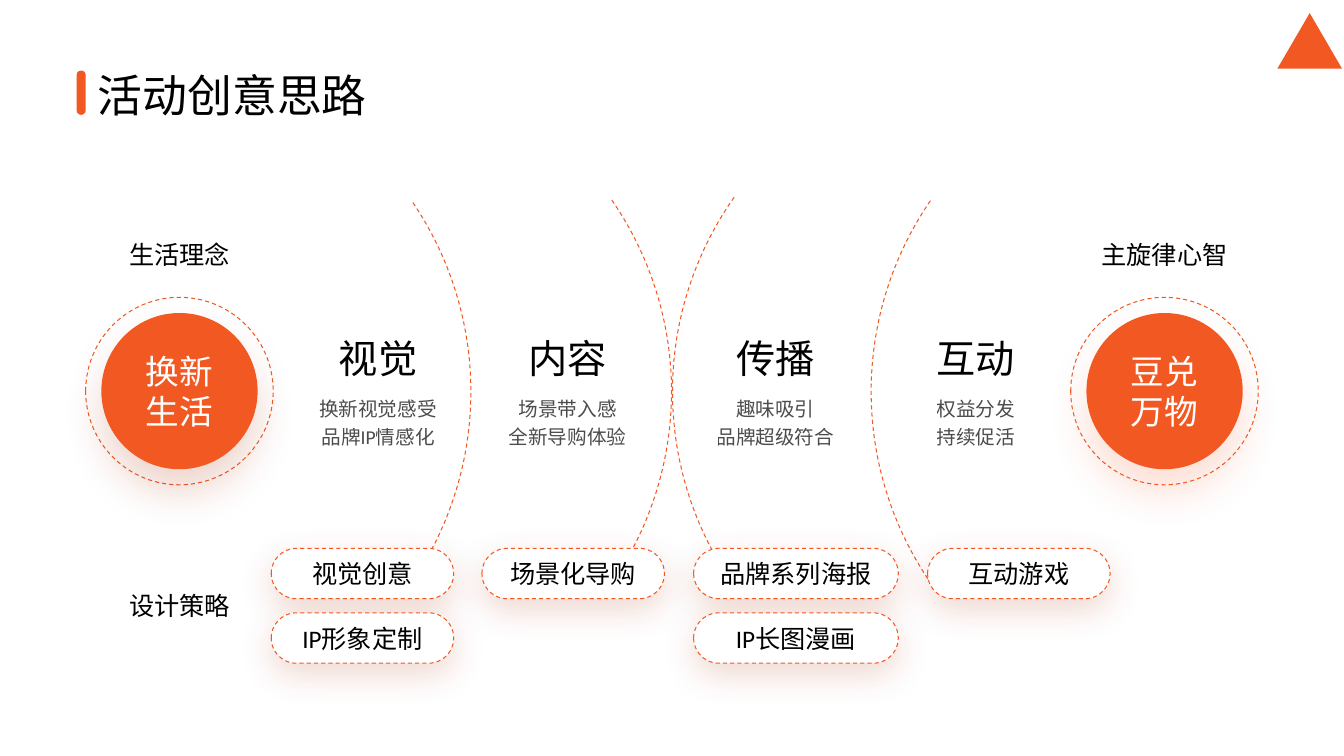
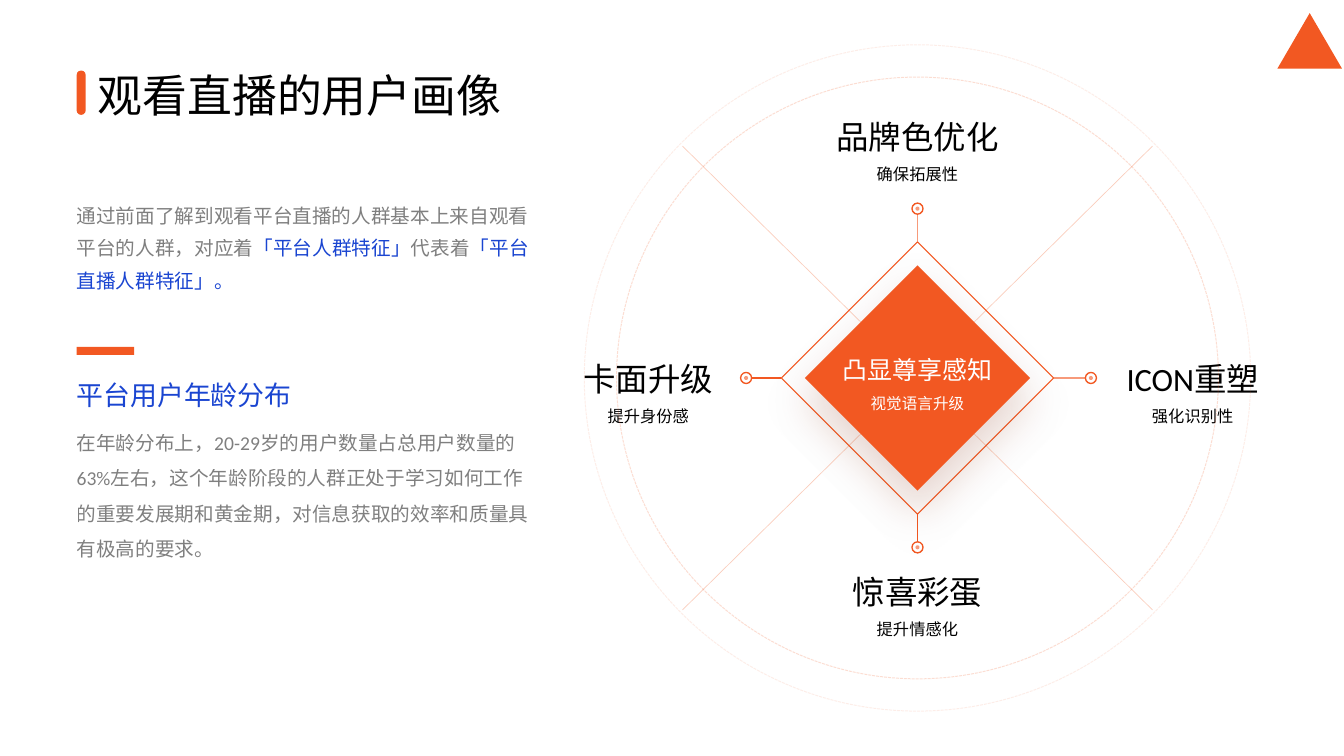
from dataclasses import dataclass

from lxml import etree
from pptx import Presentation
from pptx.dml.color import RGBColor
from pptx.enum.dml import MSO_LINE
from pptx.enum.shapes import MSO_CONNECTOR, MSO_SHAPE
from pptx.enum.text import MSO_ANCHOR, PP_ALIGN
from pptx.oxml.ns import qn
from pptx.util import Inches, Pt

ARC, DIAMOND_BASE, ELLIPSE = MSO_SHAPE.ARC, MSO_SHAPE.RECTANGLE, MSO_SHAPE.OVAL
BAR, PILL, TRIANGLE = MSO_SHAPE.RECTANGLE, MSO_SHAPE.ROUNDED_RECTANGLE, MSO_SHAPE.ISOSCELES_TRIANGLE
DASH, FINE_DASH = MSO_LINE.DASH, MSO_LINE.SQUARE_DOT
CENTER, LEFT = PP_ALIGN.CENTER, PP_ALIGN.LEFT
TOP, MIDDLE = MSO_ANCHOR.TOP, MSO_ANCHOR.MIDDLE
STRAIGHT = MSO_CONNECTOR.STRAIGHT
TITLE_ONLY = 5


@dataclass(frozen=True)
class Theme:
    font: str = "Calibri"
    accent: RGBColor = RGBColor(0xF2, 0x58, 0x22)
    accent_light: RGBColor = RGBColor(0xF7, 0x9A, 0x7A)
    blue: RGBColor = RGBColor(0x1A, 0x45, 0xD1)
    black: RGBColor = RGBColor(0, 0, 0)
    white: RGBColor = RGBColor(0xFF, 0xFF, 0xFF)
    shadow: str = "AE340A"
    shadow_light: str = "F3602D"
    shadow_deep: str = "822808"
    title: float = 32
    column: float = 28
    circle: float = 24
    feature: float = 23.2
    subheading: float = 19.2
    label: float = 18
    core: float = 17.8
    body: float = 14
    caption: float = 11.6
    core_caption: float = 11.1


THEME = Theme()


def add_alpha(element, percent):
    """Make every colour inside the element partly transparent."""
    for color in element.iter(qn("a:srgbClr")):
        etree.SubElement(color, qn("a:alpha"), val=str(percent * 1000))


def add_shadow(shape, color, alpha, blur, distance):
    """Cast a soft shadow straight down; blur and distance are in points."""
    effects = shape._element.spPr.find(qn("a:effectLst"))
    outer = etree.SubElement(
        effects, qn("a:outerShdw"), blurRad=str(Pt(blur)), dist=str(Pt(distance)),
        dir="5400000", algn="t", rotWithShape="0")
    add_alpha_color = etree.SubElement(outer, qn("a:srgbClr"), val=color)
    add_alpha(add_alpha_color, alpha)


def add_shape(slide, kind, left, top, width, height, fill=None, line=None,
              weight=0.75, dash=None, alpha=None):
    shape = slide.shapes.add_shape(
        kind, Inches(left), Inches(top), Inches(width), Inches(height))
    shape.shadow.inherit = False
    if fill is None:
        shape.fill.background()
    else:
        shape.fill.solid()
        shape.fill.fore_color.rgb = fill
    if line is None:
        shape.line.fill.background()
    else:
        shape.line.color.rgb = line
        shape.line.width = Pt(weight)
        if dash is not None:
            shape.line.dash_style = dash
    if alpha is not None:
        add_alpha(shape._element.spPr, alpha)
    return shape


def add_centered(slide, kind, center, size, **style):
    """Add a shape of equal width and height around a point."""
    return add_shape(slide, kind, center[0] - size / 2, center[1] - size / 2,
                     size, size, **style)


def add_line(slide, start, end, color, weight, alpha=None):
    line = slide.shapes.add_connector(STRAIGHT, *map(Inches, (*start, *end)))
    line.line.color.rgb = color
    line.line.width = Pt(weight)
    properties = line._element.spPr
    etree.SubElement(properties, qn("a:effectLst"))
    if alpha is not None:
        add_alpha(properties, alpha)


def format_paragraph(paragraph, size, color, align=LEFT, spacing=None, alpha=None):
    paragraph.alignment = align
    if spacing is not None:
        paragraph.line_spacing = spacing
    paragraph.font.name = THEME.font
    paragraph.font.size = Pt(size)
    paragraph.font.color.rgb = color
    if alpha is not None:
        add_alpha(paragraph._p.pPr, alpha)


def write(shape, lines, size, color=THEME.black, anchor=TOP, margins=(0, 0), **style):
    """Fill a shape with one paragraph per line, all styled alike."""
    frame = shape.text_frame
    frame.word_wrap = True
    frame.vertical_anchor = anchor
    frame.margin_left = frame.margin_right = Inches(margins[0])
    frame.margin_top = frame.margin_bottom = Inches(margins[1])
    frame.text = "\n".join(lines)
    for paragraph in frame.paragraphs:
        format_paragraph(paragraph, size, color, **style)
    return frame


def add_text(slide, left, top, width, height, lines, size, **style):
    box = slide.shapes.add_textbox(
        Inches(left), Inches(top), Inches(width), Inches(height))
    return write(box, lines, size, **style)


def add_label(slide, center, top, width, height, lines, size, **style):
    """Add centred text around a vertical axis."""
    return add_text(slide, center - width / 2, top, width, height, lines, size,
                    align=CENTER, **{"margins": (0.1, 0.05), **style})


def add_titled_slide(presentation, title):
    """Start a slide with the shared title, accent bar and corner mark."""
    slide = presentation.slides.add_slide(presentation.slide_layouts[TITLE_ONLY])
    add_shape(slide, TRIANGLE, 12.67, 0.13, 0.64, 0.55, fill=THEME.accent)
    placeholder = slide.shapes.title
    placeholder.left, placeholder.top = Inches(0.87), Inches(0.62)
    placeholder.width, placeholder.height = Inches(6), Inches(0.64)
    write(placeholder, [title], THEME.title, margins=(0.1, 0.05))
    bar = add_shape(slide, PILL, 0.76, 0.7, 0.09, 0.44, fill=THEME.accent)
    bar.adjustments[0] = 0.5
    return slide


def add_goal(slide, center, caption, lines, shadow):
    """Add a captioned disc inside a dashed ring."""
    add_label(slide, center, 2.33, 1.6, 0.4, [caption], THEME.label)
    point = (center, 3.88)
    add_centered(slide, ELLIPSE, point, 1.86, line=THEME.accent, dash=DASH)
    disc = add_centered(slide, ELLIPSE, point, 1.55, fill=THEME.accent)
    add_shadow(disc, shadow, 20, 29, 16)
    write(disc, lines, THEME.circle, THEME.white, MIDDLE, align=CENTER)


def add_arc(slide, left, start, end, flipped):
    """Add a dashed arc between two angles in degrees."""
    arc = add_shape(slide, ARC, left, 0.54, 6.69, 6.69, line=THEME.accent, dash=DASH)
    arc.adjustments[0] = start * 0.6
    arc.adjustments[1] = end * 0.6
    if flipped:
        arc._element.spPr.xfrm.set("flipH", "1")


def add_pill(slide, left, top, width, text):
    pill = add_shape(slide, PILL, left, top, width, 0.5, fill=THEME.white,
                     line=THEME.accent, dash=DASH)
    pill.adjustments[0] = 0.5
    add_shadow(pill, THEME.shadow, 18, 25, 8)
    write(pill, [text], THEME.label, anchor=MIDDLE, align=CENTER)


def build_idea_slide(presentation):
    slide = add_titled_slide(presentation, "活动创意思路")
    add_goal(slide, 1.78, "生活理念", ["换新", "生活"], THEME.shadow)
    add_goal(slide, 11.55, "主旋律心智", ["豆兑", "万物"], THEME.shadow_light)
    for arc in [(-0.03, 325.4, 34.3, False), (6.67, 324.8, 34.6, True),
                (-2.02, 325.9, 34.3, False), (8.64, 325.5, 35.8, True)]:
        add_arc(slide, *arc)
    add_label(slide, 1.78, 5.81, 1.6, 0.4, ["设计策略"], THEME.label)

    columns = [
        (3.75, "视觉", ["换新视觉感受", "品牌IP情感化"],
         2.69, 1.81, ["视觉创意", "IP形象定制"]),
        (5.63, "内容", ["场景带入感", "全新导购体验"], 4.78, 1.81, ["场景化导购"]),
        (7.69, "传播", ["趣味吸引", "品牌超级符合"],
         6.88, 2.03, ["品牌系列海报", "IP长图漫画"]),
        (9.68, "互动", ["权益分发", "持续促活"], 9.2, 1.81, ["互动游戏"]),
    ]
    for center, heading, lines, pill_left, pill_width, pills in columns:
        add_label(slide, center, 3.27, 1.41, 0.57, [heading], THEME.column)
        add_label(slide, center, 3.83, 1.41, 0.67, lines, THEME.body,
                  margins=(0.11, 0.06), spacing=1.2, alpha=70)
        for row, text in enumerate(pills):
            add_pill(slide, pill_left, 5.44 + 0.64 * row, pill_width, text)


def add_feature(slide, center, direction, reach, color, label_at, heading, caption):
    """Add a spoke with a ringed dot at its end, and the text beside it."""
    def along(distance):
        return tuple(origin + step * distance for origin, step in zip(center, direction))

    add_line(slide, along(reach - 0.05), along(1.35), color, 0.97)
    add_centered(slide, ELLIPSE, along(reach), 0.11, line=THEME.accent, weight=0.97)
    add_centered(slide, ELLIPSE, along(reach), 0.04, fill=THEME.accent_light)
    axis, top = label_at
    add_label(slide, axis, top, 2, 0.48, [heading], THEME.feature)
    add_label(slide, axis, top + 0.43, 1.17, 0.31, [caption], THEME.caption, spacing=1.2)


def add_diamond(slide, center, size, shadow, **style):
    diamond = add_centered(slide, DIAMOND_BASE, center, size, **style)
    diamond.rotation = 45
    add_shadow(diamond, *shadow)


def add_wheel(slide, center):
    features = [
        ((0, -1), 1.68, THEME.accent_light, (9.1, 1.11), "品牌色优化", "确保拓展性"),
        ((1, 0), 1.72, THEME.accent_light, (11.83, 3.51), "ICON重塑", "强化识别性"),
        ((-1, 0), 1.7, THEME.accent, (6.43, 3.51), "卡面升级", "提升身份感"),
        ((0, 1), 1.68, THEME.accent, (9.1, 5.63), "惊喜彩蛋", "提升情感化"),
    ]
    for feature in features:
        add_feature(slide, center, *feature)
    x, y = center
    for side in (1, -1):
        add_line(slide, (x + 2.33 * side, y - 2.3), (x - 2.33 * side, y + 2.3),
                 THEME.accent, 0.48, alpha=30)
    for size, alpha in [(5.97, 20), (6.61, 10)]:
        add_centered(slide, ELLIPSE, center, size, line=THEME.accent,
                     weight=0.72, dash=FINE_DASH, alpha=alpha)
    add_diamond(slide, center, 1.91, (THEME.shadow, 18, 32.2, 17.8), line=THEME.accent)
    add_diamond(slide, center, 1.58, (THEME.shadow_deep, 18, 30, 16), fill=THEME.accent)
    add_label(slide, x, 3.82, 1.17, 0.36, ["视觉语言升级"], THEME.core_caption,
              color=THEME.white, spacing=1.2)
    add_label(slide, x, 3.47, 1.8, 0.45, ["凸显尊享感知"], THEME.core, color=THEME.white)


def add_intro(slide):
    """Add the opening paragraph, grey with blue key terms."""
    frame = add_text(slide, 0.76, 1.94, 4.59, 0.95, [""], THEME.body,
                     anchor=MIDDLE, spacing=Pt(23.1))
    paragraph = frame.paragraphs[0]
    paragraph.space_after = Pt(7.2)
    parts = [
        ("通过前面了解到观看平台直播的人群基本上来自观看平台的人群，对应着", False),
        ("「平台人群特征」", True),
        ("代表着", False),
        ("「平台直播人群特征」。", True),
    ]
    for text, is_key in parts:
        run = paragraph.add_run()
        run.text = text
        run.font.color.rgb = THEME.blue if is_key else THEME.black
        if not is_key:
            add_alpha(run._r, 50)


def build_audience_slide(presentation):
    slide = add_titled_slide(presentation, "观看直播的用户画像")
    add_wheel(slide, (9.1, 3.75))
    add_shape(slide, BAR, 0.76, 3.44, 0.57, 0.08, fill=THEME.accent)
    add_text(slide, 0.76, 3.81, 4.59, 0.27, ["平台用户年龄分布"], THEME.subheading,
             color=THEME.blue, spacing=Pt(19.2))
    add_text(slide, 0.76, 4.16, 4.59, 1.4, [
        "在年龄分布上，20-29岁的用户数量占总用户数量的63%左右，这个年龄阶段的人群"
        "正处于学习如何工作的重要发展期和黄金期，对信息获取的效率和质量具有极高的要求。"
    ], THEME.body, spacing=Pt(25.2), alpha=50)
    add_intro(slide)


def main():
    presentation = Presentation()
    presentation.slide_width = Inches(13.33)
    presentation.slide_height = Inches(7.5)
    build_idea_slide(presentation)
    build_audience_slide(presentation)
    presentation.save("out.pptx")


if __name__ == "__main__":
    main()
